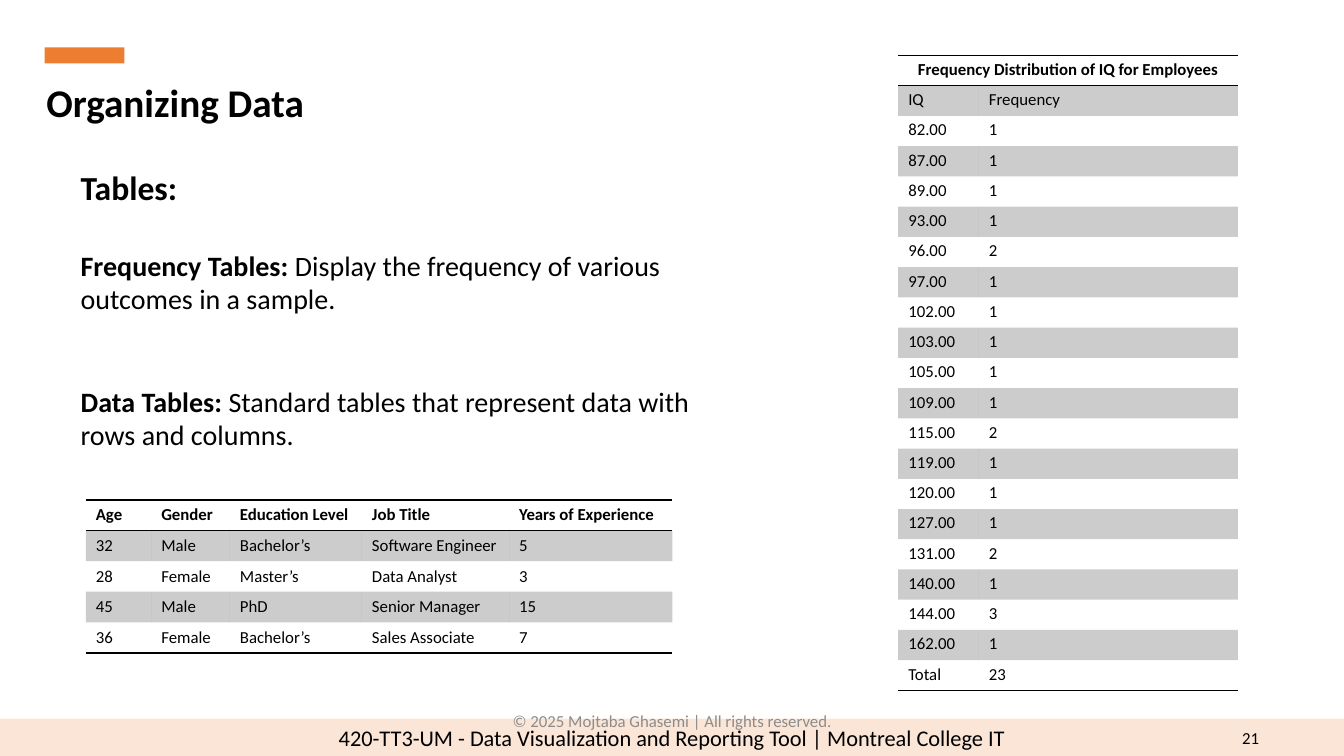
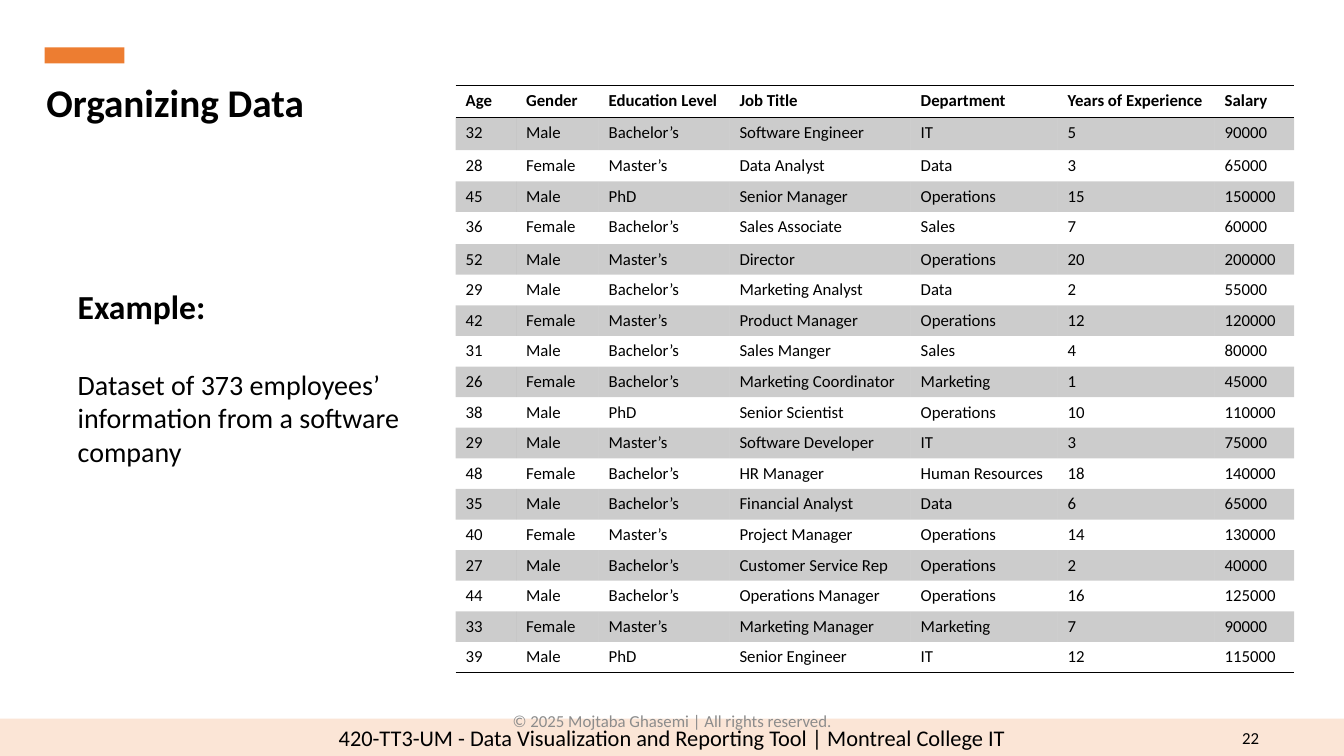
from dataclasses import dataclass
from lxml.etree import SubElement
from pptx import Presentation
from pptx.dml.color import RGBColor as RGB
from pptx.enum.shapes import MSO_SHAPE as Kind
from pptx.enum.text import MSO_ANCHOR as Anchor, MSO_AUTO_SIZE as Fit, PP_ALIGN as Align
from pptx.oxml.ns import qn
from pptx.util import Inches, Pt


@dataclass(frozen=True)
class Theme:
    font: str = "Calibri"
    ink: str = "000000"
    grey: str = "8C8C8C"
    band: str = "FBE5D6"
    accent: str = "ED7D31"
    shade: int = 20  # percent of ink in striped rows
    title: int = 28
    head: int = 24
    body: int = 20
    foot: int = 16
    small: int = 12


T = Theme()
WIDE, HIGH = Inches(13.333), Inches(7.5)
PLAIN = "{2D5ABB26-0587-4C30-8999-92F81FD0307C}"  # table style without grid

COURSE = "420-TT3-UM - Data Visualization and Reporting Tool | Montreal College IT"
RIGHTS = "© 2025 Mojtaba Ghasemi | All rights reserved."

STAFF = [
    ("Age", "Gender", "Education Level", "Job Title", "Department",
     "Years of Experience", "Salary"),
    (32, "Male", "Bachelor’s", "Software Engineer", "IT", 5, 90000),
    (28, "Female", "Master’s", "Data Analyst", "Data", 3, 65000),
    (45, "Male", "PhD", "Senior Manager", "Operations", 15, 150000),
    (36, "Female", "Bachelor’s", "Sales Associate", "Sales", 7, 60000),
    (52, "Male", "Master’s", "Director", "Operations", 20, 200000),
    (29, "Male", "Bachelor’s", "Marketing Analyst", "Data", 2, 55000),
    (42, "Female", "Master’s", "Product Manager", "Operations", 12, 120000),
    (31, "Male", "Bachelor’s", "Sales Manger", "Sales", 4, 80000),
    (26, "Female", "Bachelor’s", "Marketing Coordinator", "Marketing", 1, 45000),
    (38, "Male", "PhD", "Senior Scientist", "Operations", 10, 110000),
    (29, "Male", "Master’s", "Software Developer", "IT", 3, 75000),
    (48, "Female", "Bachelor’s", "HR Manager", "Human Resources", 18, 140000),
    (35, "Male", "Bachelor’s", "Financial Analyst", "Data", 6, 65000),
    (40, "Female", "Master’s", "Project Manager", "Operations", 14, 130000),
    (27, "Male", "Bachelor’s", "Customer Service Rep", "Operations", 2, 40000),
    (44, "Male", "Bachelor’s", "Operations Manager", "Operations", 16, 125000),
    (33, "Female", "Master’s", "Marketing Manager", "Marketing", 7, 90000),
    (39, "Male", "PhD", "Senior Engineer", "IT", 12, 115000),
]
BRIEF = [row[:4] + row[5:6] for row in STAFF[:5]]

COUNTS = {82: 1, 87: 1, 89: 1, 93: 1, 96: 2, 97: 1, 102: 1, 103: 1, 105: 1,
          109: 1, 115: 2, 119: 1, 120: 1, 127: 1, 131: 2, 140: 1, 144: 3, 162: 1}
IQ = [("Frequency Distribution of IQ for Employees", ""), ("IQ", "Frequency"),
      *((f"{score:.2f}", n) for score, n in COUNTS.items()),
      ("Total", sum(COUNTS.values()))]


def place(box):
    """Turn percent shares of the slide into lengths."""
    return [round(part * side / 100) for part, side in zip(box, (WIDE, HIGH) * 2)]


def move(shape, box):
    shape.left, shape.top, shape.width, shape.height = place(box)


def write(para, text, size=T.small, color=T.ink, bold=False, align=Align.LEFT):
    para.alignment = align
    run = para.add_run()
    run.text = str(text)
    font = run.font
    font.name, font.size, font.bold = T.font, Pt(size), bold
    font.color.rgb = RGB.from_string(color)


def frame(shape, anchor=Anchor.TOP):
    area = shape.text_frame
    area.word_wrap, area.auto_size = True, Fit.NONE
    area.vertical_anchor = anchor
    return area.paragraphs[0]


def block(slide, box, color):
    shape = slide.shapes.add_shape(Kind.RECTANGLE, *place(box))
    shape.shadow.inherit = False
    shape.fill.solid()
    shape.fill.fore_color.rgb = RGB.from_string(color)
    shape.line.fill.background()
    return shape


def label(slide, box, text, **style):
    shape = slide.shapes.add_textbox(*place(box))
    write(frame(shape, Anchor.MIDDLE), text, **style)


# Parts that every slide has
def base(deck, number, title):
    slide = deck.slides.add_slide(deck.slide_layouts[1])
    band = block(slide, (0, 95.07, 100, 4.93), T.band)
    write(frame(band), COURSE, size=T.foot, align=Align.CENTER)
    label(slide, (91.58, 94.93, 2.85, 5.33), number, align=Align.RIGHT)
    label(slide, (33.15, 92.67, 33.75, 5.33), RIGHTS, color=T.grey,
          align=Align.CENTER)
    block(slide, (3.33, 6.27, 5.93, 2.13), T.accent)
    head = slide.shapes.title
    move(head, (2.7, 9.73, 85.88, 7.6))
    write(frame(head), title, size=T.title, bold=True)
    return slide


# Body: a heading, then (bold lead, text, gap before) entries
def body(slide, box, head, items):
    shape = slide.placeholders[1]
    move(shape, box)
    para = frame(shape)
    for i, (lead, text, gap) in enumerate([(head, "", 0), *items]):
        if i:
            para = shape.text_frame.add_paragraph()
        props = para._p.get_or_add_pPr()
        props.set("marL", "0")
        props.set("indent", "0")
        SubElement(props, qn("a:buNone"))
        para.space_before = Pt(gap)
        size = T.body if i else T.head
        for part, bold in ((lead, True), (text, False)):
            if part:
                write(para, part, size=size, bold=bold)


def rule(cell, side):
    line = SubElement(cell._tc.get_or_add_tcPr(), qn("a:" + side), w=str(Pt(1)))
    fill = SubElement(line, qn("a:solidFill"))
    SubElement(fill, qn("a:srgbClr"), val=T.ink)


def stripe(cell):
    cell.fill.solid()
    cell.fill.fore_color.rgb = RGB.from_string(T.ink)
    tone = cell._tc.tcPr.find(qn("a:solidFill")).find(qn("a:srgbClr"))
    SubElement(tone, qn("a:alpha"), val=str(T.shade * 1000))


# Striped table: cols and rows are relative sizes inside the box
def grid(slide, box, data, cols, rows=None, pad=0.05, merge=False):
    rows = rows or [1] * len(data)
    shape = slide.shapes.add_table(len(data), len(cols), *place(box))
    wide, high = place(box)[2:]
    table = shape.table
    table._tbl.tblPr.find(qn("a:tableStyleId")).text = PLAIN
    table.horz_banding = False
    for col, share in zip(table.columns, cols):
        col.width = round(wide * share / sum(cols))
    for row, share in zip(table.rows, rows):
        row.height = round(high * share / sum(rows))
    if merge:
        table.cell(0, 0).merge(table.cell(0, len(cols) - 1))
    for r, values in enumerate(data):
        for c, value in enumerate(values):
            cell = table.cell(r, c)
            cell.margin_top = cell.margin_bottom = Inches(pad)
            if r == 0:
                rule(cell, "lnT")
            if r in (0, len(data) - 1):
                rule(cell, "lnB")
            if r % 2:
                stripe(cell)
            else:
                cell.fill.background()
            if value != "":
                center = merge and r == 0
                write(cell.text_frame.paragraphs[0], value, bold=r == 0,
                      align=Align.CENTER if center else Align.LEFT)


def kinds(deck):
    slide = base(deck, 21, "Organizing Data")
    body(slide, (5.25, 21.47, 51.3, 39.07), "Tables:", [
        ("Frequency Tables: ",
         "Display the frequency of various outcomes in a sample.", 29),
        ("Data Tables: ",
         "Standard tables that represent data with rows and columns.", 49)])
    grid(slide, (66.83, 7.33, 25.28, 84), IQ, (0.8, 2.57), pad=0.04, merge=True)
    grid(slide, (6.38, 66.13, 43.65, 20), BRIEF, (0.65, 0.78, 1.31, 1.46, 1.62))


def sample(deck):
    slide = base(deck, 22, "Organizing Data")
    body(slide, (5.03, 37.2, 26.25, 25.6), "Example:", [
        ("", "Dataset of 373 employees’ information from a software company", 29)])
    grid(slide, (33.9, 11.33, 62.4, 76.93), STAFF,
         (0.6, 0.82, 1.3, 1.8, 1.46, 1.56, 0.79),
         rows=[0.32, 0.32, 0.31, 0.3, 0.32] + [0.3] * 14)


def main():
    deck = Presentation()
    deck.slide_width, deck.slide_height = WIDE, HIGH
    kinds(deck)
    sample(deck)
    deck.save("out.pptx")


if __name__ == "__main__":
    main()
